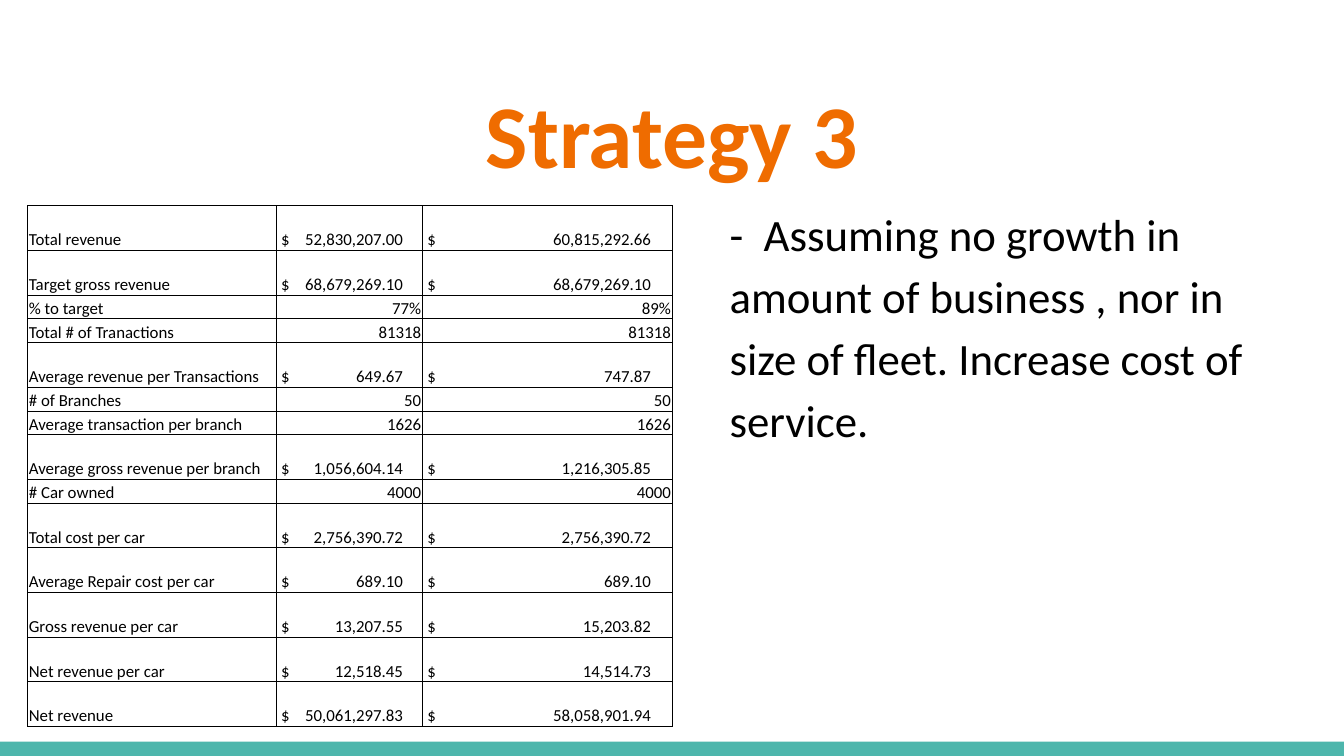
from dataclasses import dataclass

from lxml.etree import SubElement
from pptx import Presentation
from pptx.dml.color import RGBColor as Color
from pptx.enum.shapes import MSO_SHAPE as Shape
from pptx.enum.text import MSO_ANCHOR as Anchor, MSO_AUTO_SIZE as AutoSize, PP_ALIGN as Align
from pptx.oxml.ns import qn
from pptx.util import Pt


@dataclass(frozen=True)
class Theme:
    font: str = "Calibri"
    title: Color = Color(0xEF, 0x6C, 0x00)
    text: Color = Color(0, 0, 0)
    bar: Color = Color(0x4D, 0xB6, 0xAC)
    border: str = "000000"
    title_size: int = 48
    body_size: int = 24
    table_size: int = 9


theme = Theme()

COLUMN_WIDTHS = (133.2, 78.3, 133.8)
TAB_STOPS = (None, 67.2, 121.8)  # where the amounts end, per column
TALL_ROW, SHORT_ROW = 23.93, 12.75
ROWS = (
    ("Total revenue", "$52,830,207.00", "$60,815,292.66"),
    ("Target gross revenue", "$68,679,269.10", "$68,679,269.10"),
    ("% to target", "77%", "89%"),
    ("Total # of Tranactions", "81318", "81318"),
    ("Average revenue per Transactions", "$649.67", "$747.87"),
    ("# of Branches", "50", "50"),
    ("Average transaction per branch", "1626", "1626"),
    ("Average gross revenue per branch", "$1,056,604.14", "$1,216,305.85"),
    ("# Car owned", "4000", "4000"),
    ("Total cost per car", "$2,756,390.72", "$2,756,390.72"),
    ("Average Repair cost per car", "$689.10", "$689.10"),
    ("Gross revenue per car", "$13,207.55", "$15,203.82"),
    ("Net revenue per car", "$12,518.45", "$14,514.73"),
    ("Net revenue", "$50,061,297.83", "$58,058,901.94"),
)


def add_text(paragraph, text, size, color, bold=False):
    run = paragraph.add_run()
    run.text = text
    run.font.name = theme.font
    run.font.size = Pt(size)
    run.font.bold = bold
    run.font.color.rgb = color


def place(shape, left, top, width, height):
    """Position a placeholder and give its text frame even margins."""
    shape.left, shape.top, shape.width, shape.height = map(Pt, (left, top, width, height))
    frame = shape.text_frame
    frame.margin_left = frame.margin_right = frame.margin_top = frame.margin_bottom = Pt(7.2)
    frame.vertical_anchor = Anchor.TOP
    frame.auto_size = AutoSize.NONE
    frame.word_wrap = True
    return frame.paragraphs[0]


presentation = Presentation()
presentation.slide_width, presentation.slide_height = Pt(720), Pt(405)
slide = presentation.slides.add_slide(presentation.slide_layouts[1])

# Bottom bar
bar = slide.shapes.add_shape(Shape.RECTANGLE, Pt(0), Pt(397.4), Pt(720), Pt(7.6))
bar.shadow.inherit = False
bar.fill.solid()
bar.fill.fore_color.rgb = theme.bar
bar.line.fill.background()

# Title
paragraph = place(slide.shapes.title, 24.5, 35.3, 671, 55.4)
paragraph.alignment = Align.CENTER
add_text(paragraph, "Strategy 3", theme.title_size, theme.title, bold=True)

# Body
paragraph = place(slide.placeholders[1], 375.1, 99.4, 320.4, 289.4)
paragraph.line_spacing = 1.15
paragraph.space_before = Pt(0)
properties = paragraph._p.get_or_add_pPr()
properties.set("marL", str(Pt(8.6)))
properties.set("indent", "0")
SubElement(properties, qn("a:buNone"))
add_text(
    paragraph,
    "-  Assuming no growth in amount of business , nor in size of fleet. Increase cost of service.",
    theme.body_size,
    theme.text,
)

# Revenue table
row_heights = [TALL_ROW if row[1].startswith("$") else SHORT_ROW for row in ROWS]
table = slide.shapes.add_table(
    len(ROWS), len(COLUMN_WIDTHS), Pt(14.8), Pt(110.2), Pt(sum(COLUMN_WIDTHS)), Pt(sum(row_heights))
).table
table.first_row = table.horz_banding = False
for column, width in zip(table.columns, COLUMN_WIDTHS):
    column.width = Pt(width)

for row, height, values in zip(table.rows, row_heights, ROWS):
    row.height = Pt(height)
    for cell, value, tab_stop in zip(row.cells, values, TAB_STOPS):
        cell.margin_left = cell.margin_right = cell.margin_top = Pt(0.7)
        cell.margin_bottom = Pt(0)
        cell.vertical_anchor = Anchor.BOTTOM
        cell_properties = cell._tc.get_or_add_tcPr()
        for side in ("a:lnL", "a:lnR", "a:lnT", "a:lnB"):
            border = SubElement(cell_properties, qn(side), w=str(Pt(0.5)))
            SubElement(SubElement(border, qn("a:solidFill")), qn("a:srgbClr"), val=theme.border)
        cell.fill.background()

        paragraph = cell.text_frame.paragraphs[0]
        if value.startswith("$"):
            tabs = SubElement(paragraph._p.get_or_add_pPr(), qn("a:tabLst"))
            SubElement(tabs, qn("a:tab"), pos=str(Pt(tab_stop)), algn="r")
            value = value.replace("$", " $\t")
        elif tab_stop:
            paragraph.alignment = Align.RIGHT
        add_text(paragraph, value, theme.table_size, theme.text)

presentation.save("out.pptx")
